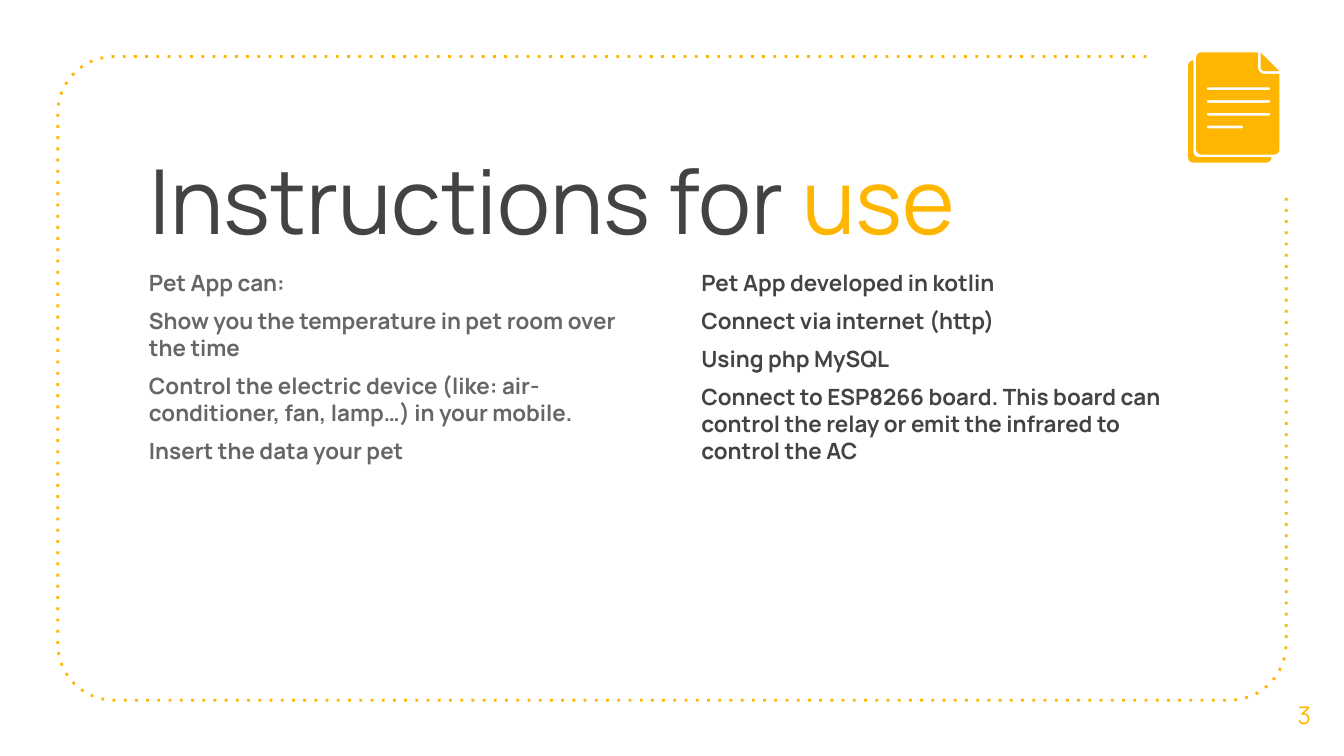
from dataclasses import dataclass
from math import cos, radians, sin

from pptx import Presentation
from pptx.dml.color import RGBColor
from pptx.enum.dml import MSO_LINE
from pptx.enum.text import MSO_ANCHOR, MSO_AUTO_SIZE, PP_ALIGN
from pptx.oxml.ns import qn
from pptx.util import Pt

PX = 9144  # EMU per px, 100 px to the inch


@dataclass(frozen=True)
class Theme:
    font: str = "Manrope"
    accent: str = "FFB600"
    dark: str = "434343"
    gray: str = "666666"
    title_size: int = 48
    body_size: int = 12
    number_size: int = 13
    frame_width: float = 1.5
    inset: int = 10
    body_gap: int = 6


def rgb(color):
    return RGBColor.from_string(color)


def arc(cx, cy, radius, start, end, steps=12):
    """Points of an arc; degrees run clockwise from the right."""
    angles = [radians(start + (end - start) * i / steps) for i in range(steps + 1)]
    return [(cx + radius * cos(a), cy + radius * sin(a)) for a in angles]


def text_rule(left, right, y):
    """Outline of a thin bar with round ends."""
    return arc(left + 1, y, 1, 270, 90) + arc(right - 1, y, 1, 90, -90)


class SlideBuilder:
    def __init__(self, slide, theme):
        self.slide = slide
        self.theme = theme

    def outline(self, shapes, contours, close=True):
        scaled = [[(x * PX, y * PX) for x, y in c] for c in contours]
        builder = shapes.build_freeform(*scaled[0][0], scale=1.0)
        for i, points in enumerate(scaled):
            if i:
                builder.move_to(*points[0])
            builder.add_line_segments(points[1:], close=close)
        sp = builder.convert_to_shape()
        sp.shadow.inherit = False
        return sp

    def frame(self, points):
        sp = self.outline(self.slide.shapes, [points], close=False)
        sp.fill.background()
        sp.line.color.rgb = rgb(self.theme.accent)
        sp.line.width = Pt(self.theme.frame_width)
        sp.line.dash_style = MSO_LINE.ROUND_DOT
        next(sp._element.iter(qn("a:prstDash"))).set("val", "dot")

    def icon(self, parts):
        group = self.slide.shapes.add_group_shape()
        for contours in parts:
            sp = self.outline(group.shapes, contours)
            sp.fill.solid()
            sp.fill.fore_color.rgb = rgb(self.theme.accent)
            sp.line.fill.background()

    def prepare(self, sp, anchor):
        tf = sp.text_frame
        tf.word_wrap = True
        tf.auto_size = MSO_AUTO_SIZE.NONE
        tf.vertical_anchor = anchor
        tf.margin_left = tf.margin_right = self.theme.inset * PX
        tf.margin_top = tf.margin_bottom = self.theme.inset * PX
        return tf

    def title(self, box, parts):
        sp = self.slide.shapes.title
        sp.left, sp.top, sp.width, sp.height = (v * PX for v in box)
        p = self.prepare(sp, MSO_ANCHOR.TOP).paragraphs[0]
        p.alignment = PP_ALIGN.LEFT
        p.line_spacing = 1.0
        p.font.name = self.theme.font
        p.font.size = Pt(self.theme.title_size)
        for text, color in parts:
            r = p.add_run()
            r.text = text
            r.font.color.rgb = rgb(color)

    def text(self, box, lines, size, color, bold=False, gap=0,
             align=PP_ALIGN.LEFT, anchor=MSO_ANCHOR.TOP):
        sp = self.slide.shapes.add_textbox(*(v * PX for v in box))
        tf = self.prepare(sp, anchor)
        tf.text = "\n".join(lines)
        for p in tf.paragraphs:
            p.alignment = align
            p.space_before = Pt(gap)
            p.font.name = self.theme.font
            p.font.size = Pt(size)
            p.font.bold = bold
            p.font.color.rgb = rgb(color)

    def body(self, left, lines, color):
        self.text((left, 190, 388, 236), lines, self.theme.body_size, color,
                  bold=True, gap=self.theme.body_gap)


def main():
    theme = Theme()
    prs = Presentation()
    prs.slide_width = 1000 * PX
    prs.slide_height = prs.slide_width * 9 // 16
    s = SlideBuilder(prs.slides.add_slide(prs.slide_layouts[5]), theme)

    s.frame([(853, 42)] + arc(85, 84, 42, 270, 180) + arc(85, 479, 42, 180, 90)
            + arc(915, 479, 42, 90, 0) + [(957, 146)])

    s.title((101, 98, 751, 94),
            [("Instructions for ", theme.dark), ("use", theme.accent)])
    s.body(512, [
        "Pet App developed in kotlin",
        "Connect via internet (http)",
        "Using php MySQL",
        "Connect to ESP8266 board. This board can control the relay or emit "
        "the infrared to control the AC",
    ], theme.dark)
    s.body(101, [
        "Pet App can:",
        "Show you the temperature in pet room over the time",
        "Control the electric device (like: air-conditioner, fan, lamp…) "
        "in your mobile.",
        "Insert the data your pet",
    ], theme.gray)
    s.text((941, 502, 59, 60), ["3"], theme.number_size, theme.accent,
           align=PP_ALIGN.CENTER, anchor=MSO_ANCHOR.MIDDLE)

    back_page = (arc(888, 49, 4, 270, 180) + arc(888, 117, 4, 180, 90)
                 + arc(942, 117, 4, 90, 0) + arc(892, 113, 4, 90, 180))
    front_page = ([(936, 39)] + arc(894, 43, 4, 270, 180)
                  + arc(894, 111, 4, 180, 90) + arc(948, 111, 4, 90, 0)
                  + [(952, 55)] + arc(941, 50, 5, 90, 180))
    rules = [text_rule(898, right, 66 + 9.5 * i)
             for i, right in enumerate((945, 945, 945, 925))]
    fold = [(938, 39)] + arc(941, 50, 3, 180, 90) + [(952, 53)]
    s.icon([[back_page], [front_page, *rules], [fold]])

    prs.save("out.pptx")


if __name__ == "__main__":
    main()
